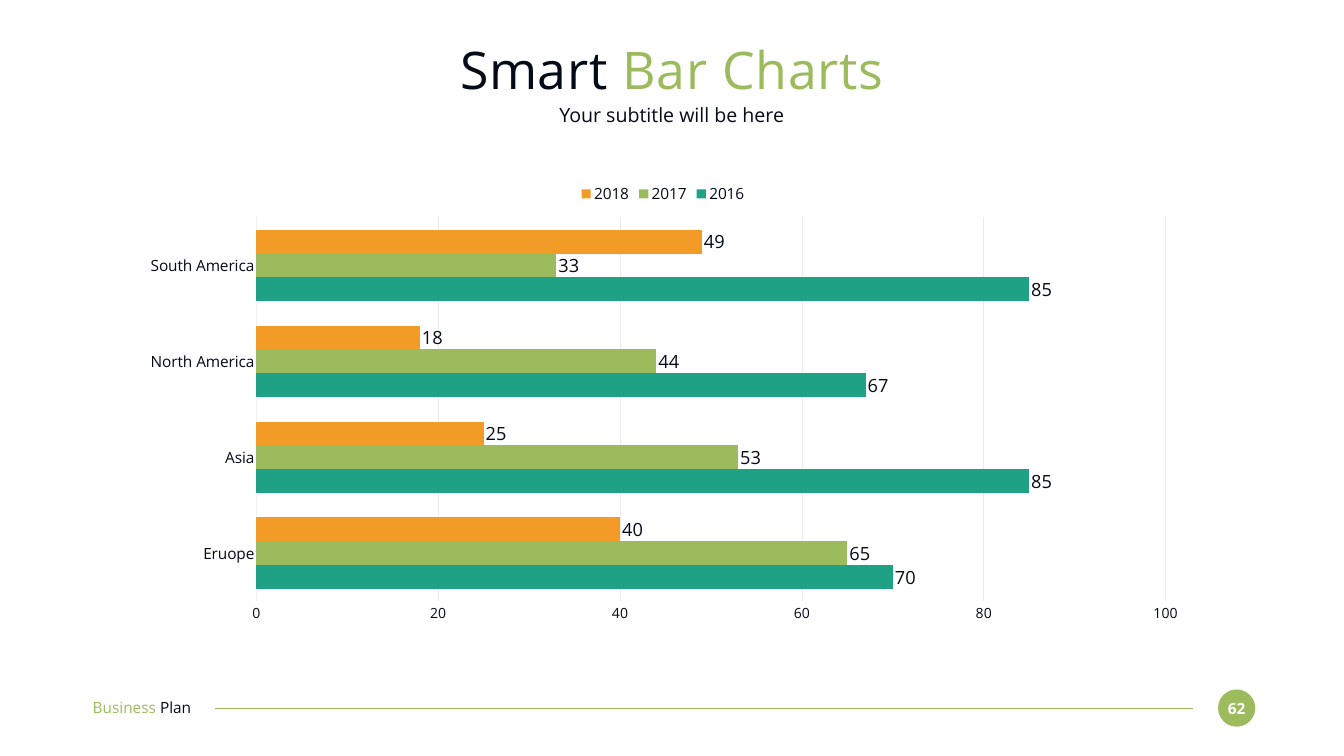
from pptx import Presentation
from pptx.chart.data import CategoryChartData
from pptx.dml.color import RGBColor
from pptx.enum.chart import XL_CHART_TYPE as ChartType, XL_LABEL_POSITION as LabelPosition
from pptx.enum.chart import XL_LEGEND_POSITION as LegendPosition, XL_TICK_MARK as TickMark
from pptx.enum.shapes import MSO_CONNECTOR as Connector, MSO_SHAPE as Shape
from pptx.enum.text import MSO_ANCHOR as Anchor, MSO_AUTO_SIZE as AutoSize, PP_ALIGN as Align
from pptx.oxml import parse_xml
from pptx.oxml.ns import nsdecls
from pptx.util import Inches, Pt

COLORS = {
    name: RGBColor.from_string(value)
    for name, value in {
        "ink": "050A19", "green": "9CBB5D", "teal": "1FA185", "orange": "F29B27",
        "white": "FFFFFF", "axis": "F0F0F0", "grid": "EBEBEB",
    }.items()
}
FONT = "Open Sans"

presentation = Presentation()
presentation.slide_width = Inches(26.67)
presentation.slide_height = Inches(15)
slide = presentation.slides.add_slide(presentation.slide_layouts[1])
shapes = slide.shapes


def place(left, top, width, height):
    column = presentation.slide_width / 100
    row = presentation.slide_height / 100
    return int(left * column), int(top * row), int(width * column), int(height * row)


def write(text_frame, pieces, size, alignment):
    text_frame.margin_left = text_frame.margin_right = 0
    text_frame.margin_top = text_frame.margin_bottom = 0
    text_frame.auto_size = AutoSize.NONE
    text_frame.word_wrap = True
    text_frame.vertical_anchor = Anchor.MIDDLE
    paragraph = text_frame.paragraphs[0]
    paragraph.alignment = alignment
    paragraph.space_before = Pt(0)
    for text, color in pieces:
        run = paragraph.add_run()
        run.text = text
        run.font.name = FONT
        run.font.size = Pt(size)
        run.font.color.rgb = COLORS[color]
    return paragraph


title = shapes.title
title.left, title.top, title.width, title.height = place(6.86, 4.87, 86.24, 8.47)
heading = write(title.text_frame, [("Smart ", "ink"), ("Bar Charts", "green")], 74, Align.CENTER)
for run in heading.runs:
    run.font._element.set("spc", "100")

subtitle = slide.placeholders[1]
subtitle.left, subtitle.top, subtitle.width, subtitle.height = place(6.86, 13.53, 86.24, 3.27)
properties = subtitle.text_frame.paragraphs[0]._p.get_or_add_pPr()
properties.set("marL", "0")
properties.set("indent", "0")
properties.append(parse_xml(f"<a:buNone {nsdecls('a')}/>"))
write(subtitle.text_frame, [("Your subtitle will be here", "ink")], 28, Align.CENTER)

chart_data = CategoryChartData()
chart_data.categories = ["Eruope", "Asia", "North America", "South America"]
chart_data.add_series("2016", [70, 85, 67, 85])
chart_data.add_series("2017", [65, 53, 44, 33])
chart_data.add_series("2018", [40, 25, 18, 49])
chart = shapes.add_chart(
    ChartType.BAR_CLUSTERED, *place(9.52, 23.4, 79.6, 59.73), chart_data
).chart
chart.has_title = False
chart.has_legend = True
chart.legend.position = LegendPosition.TOP
chart.legend.include_in_layout = False

category_axis, value_axis = chart.category_axis, chart.value_axis
value_axis.minimum_scale = 0
value_axis.maximum_scale = 100
value_axis.major_unit = 20
value_axis.format.line.fill.background()
value_axis.major_gridlines.format.line.color.rgb = COLORS["grid"]
value_axis.major_gridlines.format.line.width = Pt(1)
category_axis.format.line.color.rgb = COLORS["axis"]
category_axis.format.line.width = Pt(0.75)
for axis in (category_axis, value_axis):
    axis.major_tick_mark = axis.minor_tick_mark = TickMark.NONE

plot = chart.plots[0]
plot.gap_width = 102
plot.overlap = 0
plot.vary_by_categories = False
plot.has_data_labels = True
labels = plot.data_labels
labels.show_value = True
labels.position = LabelPosition.OUTSIDE_END
for series, color in zip(plot.series, ("teal", "green", "orange")):
    series.format.fill.solid()
    series.format.fill.fore_color.rgb = COLORS[color]
    series.invert_if_negative = False

for font, size in (
    (chart.font, 22), (chart.legend.font, 22), (category_axis.tick_labels.font, 22),
    (value_axis.tick_labels.font, 20), (labels.font, 26),
):
    font.name = FONT
    font.size = Pt(size)
    font.color.rgb = COLORS["ink"]

plot_area = chart._chartSpace.chart.plotArea
for layout in plot_area.findall("{*}layout"):
    plot_area.remove(layout)
plot_area.insert(0, parse_xml(
    f"<c:layout {nsdecls('c')}><c:manualLayout><c:layoutTarget val='inner'/>"
    "<c:xMode val='edge'/><c:yMode val='edge'/><c:x val='0.12'/><c:y val='0.09'/>"
    "<c:w val='0.85'/><c:h val='0.85'/></c:manualLayout></c:layout>"
))

footer = shapes.add_textbox(*place(6.9, 92.27, 9.71, 2.47))
write(footer.text_frame, [("Business ", "green"), ("Plan", "ink")], 22, Align.LEFT)

start, level, end, _ = place(16.01, 93.67, 88.75, 0)
rule = shapes.add_connector(Connector.STRAIGHT, end, level, start, level)
rule.line.color.rgb = COLORS["green"]
rule.line.width = Pt(1.5)
rule._element.spPr.append(parse_xml(f"<a:effectLst {nsdecls('a')}/>"))

badge = shapes.add_shape(Shape.OVAL, *place(90.63, 91.2, 2.77, 4.93))
badge.shadow.inherit = False
badge.fill.solid()
badge.fill.fore_color.rgb = COLORS["green"]
badge.line.fill.background()
page_number = write(badge.text_frame, [("62", "white")], 22, Align.CENTER)
page_number.runs[0].font.bold = True

presentation.save("out.pptx")
